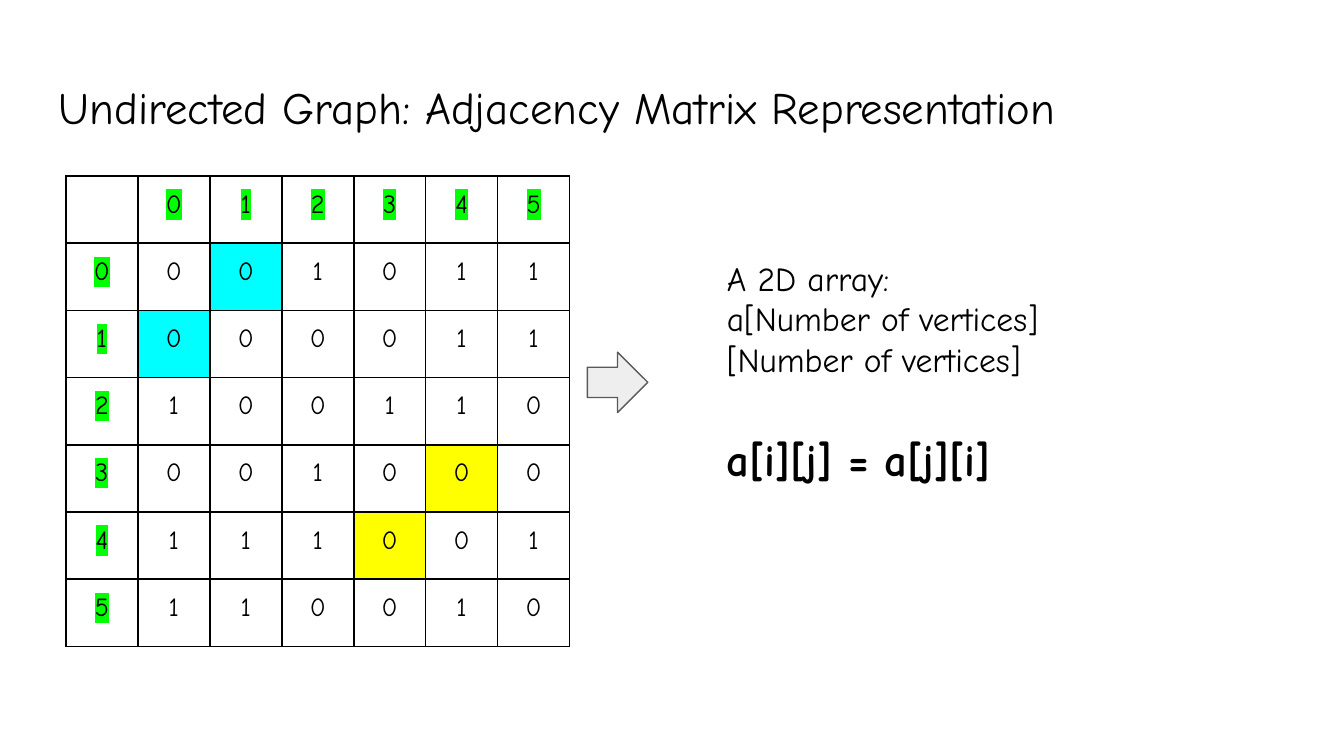
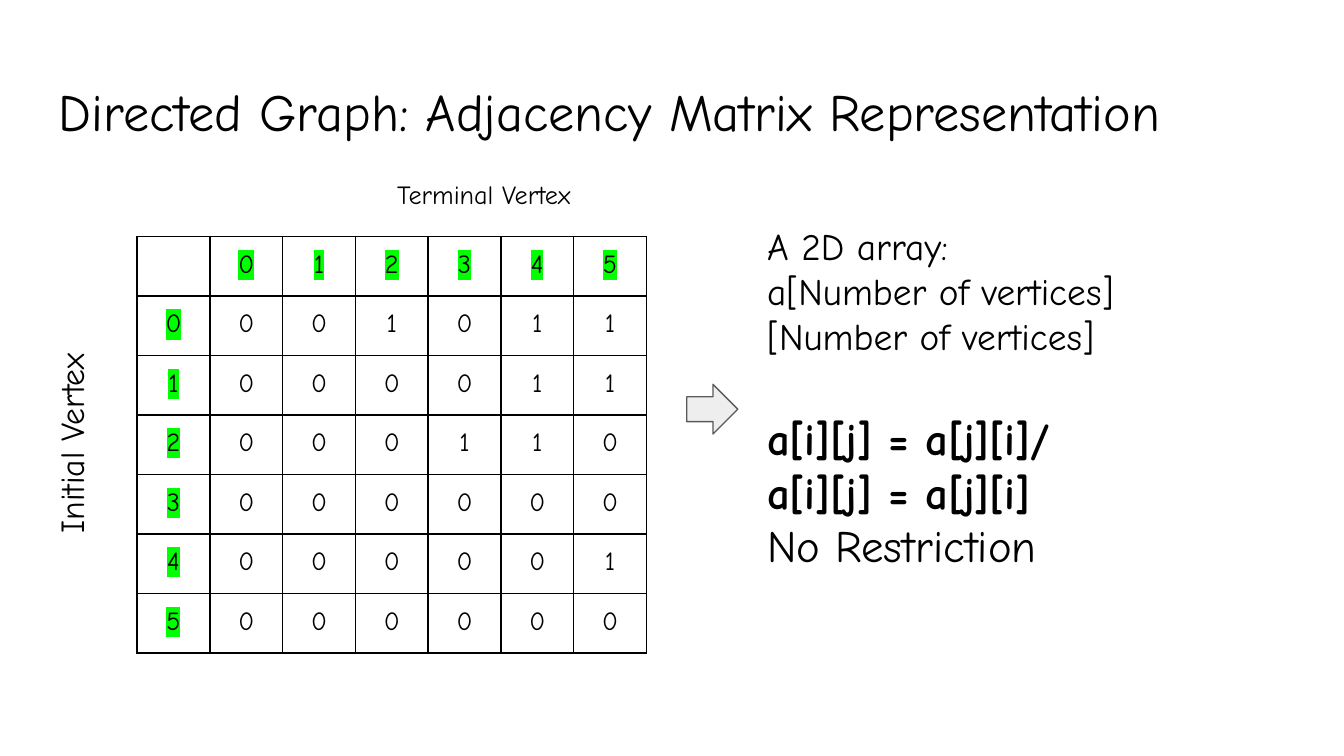
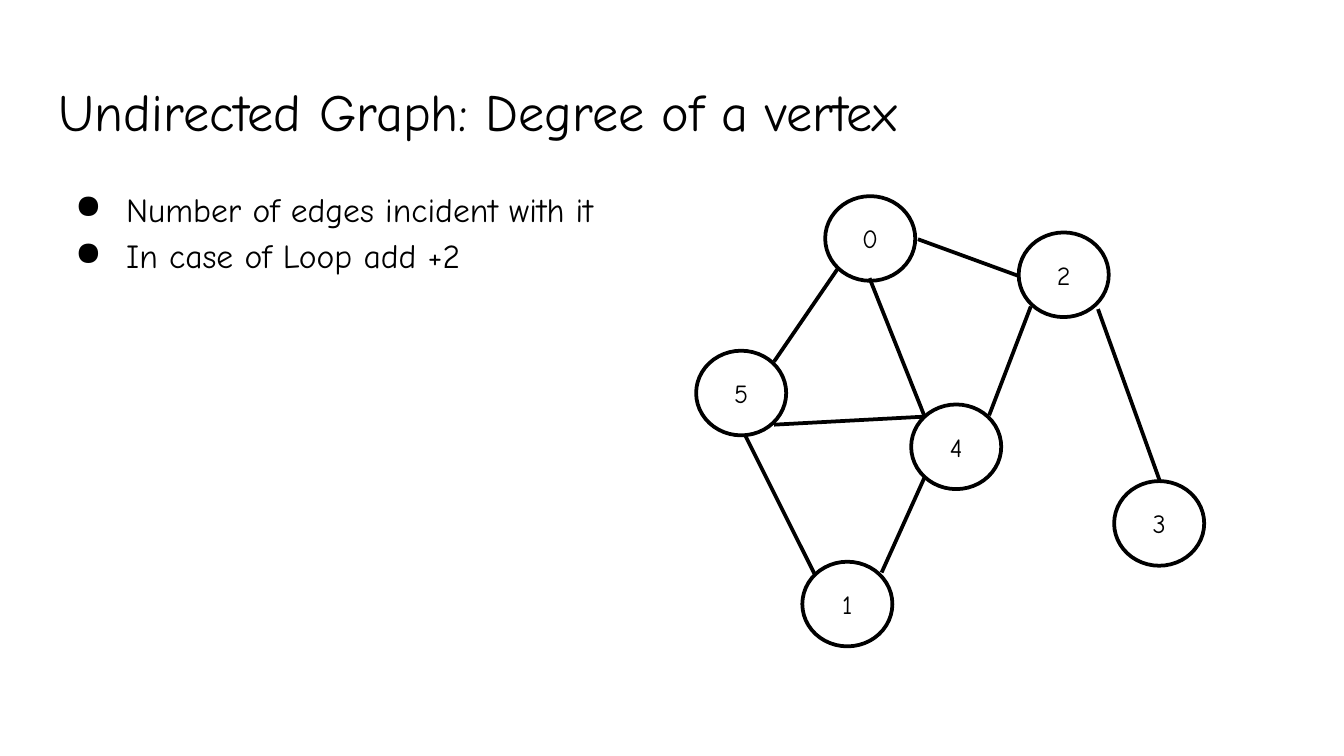
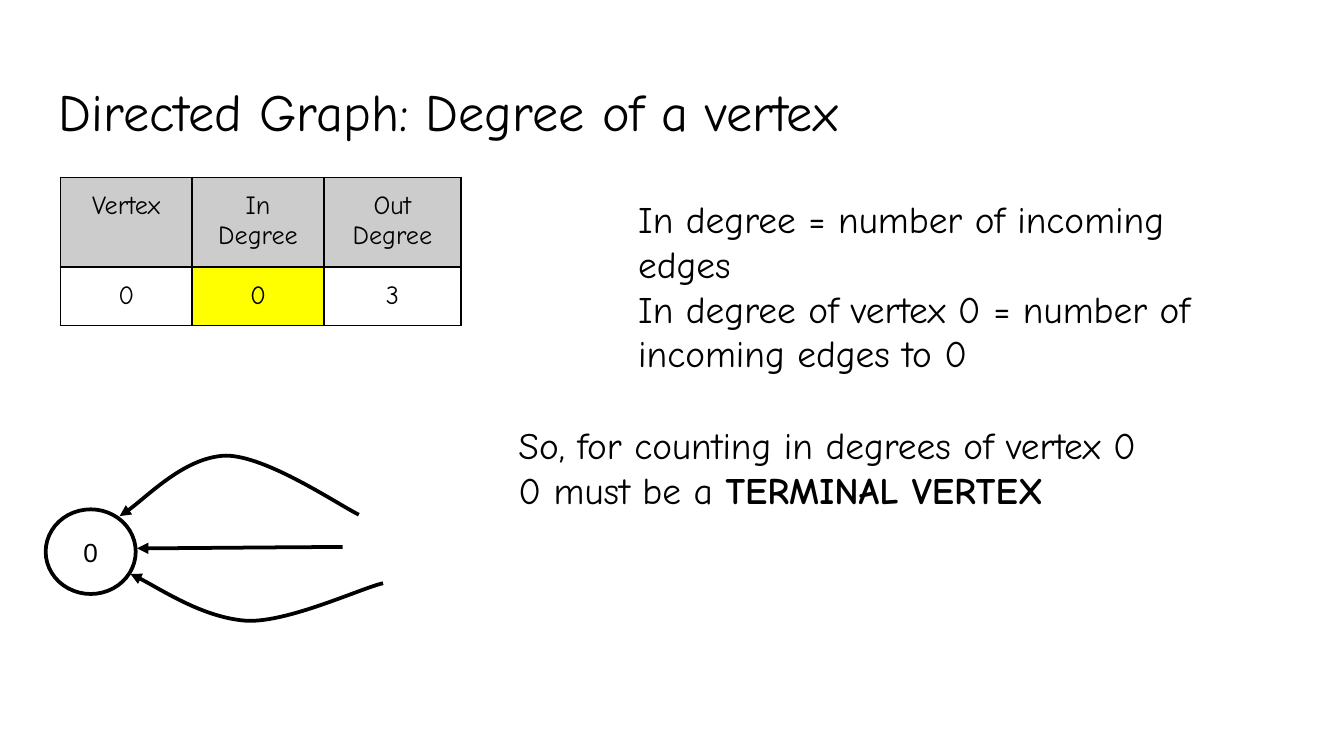
from lxml.etree import SubElement as Sub
from pptx import Presentation
from pptx.dml.color import RGBColor as Rgb
from pptx.enum.shapes import MSO_CONNECTOR as Link, MSO_SHAPE as Kind
from pptx.enum.text import MSO_ANCHOR as Anchor, PP_ALIGN as Align
from pptx.oxml import parse_xml
from pptx.oxml.ns import nsdecls, qn
from pptx.util import Inches, Pt

HUE = {"ink": "000000", "paper": "FFFFFF", "mark": "00FF00", "cyan": "00FFFF",
       "yellow": "FFFF00", "head": "CCCCCC", "pale": "EEEEEE", "slate": "595959"}


class Deck:
    font = "Comic Neue"
    columns = 100
    pad = 1
    disc = (6.7, 6.3)
    small = 14
    stroke = 2

    def __init__(self):
        self.show = Presentation()
        self.show.slide_width = Inches(10)
        self.show.slide_height = Inches(10) * 9 // 16
        self.unit = self.show.slide_width // self.columns

    def grid(self, *spots):
        return [round(spot * self.unit) for spot in spots]

    def page(self, title, size=28, width=93.2):
        self.slide = self.show.slides.add_slide(self.show.slide_layouts[6])
        self.shapes = self.slide.shapes
        self.text((3.4, 4.9, width, 6.3), [title], size)

    def style(self, par, size, bold=None, font=None, mark=None):
        for run in par.runs:
            face = run.font
            face.size, face.bold = Pt(size), bold
            face.color.rgb = Rgb.from_string(HUE["ink"])
            if mark:
                light = Sub(run._r.get_or_add_rPr(), qn("a:highlight"))
                Sub(light, qn("a:srgbClr"), val=HUE[mark])
            face.name = font or self.font

    def inset(self, item):
        item.margin_left = item.margin_right = item.margin_top = item.margin_bottom = self.grid(self.pad)[0]

    def text(self, box, lines, size, align=Align.LEFT, turn=0):
        shape = self.shapes.add_textbox(*self.grid(*box))
        shape.rotation = turn
        frame = shape.text_frame
        frame.word_wrap = True
        self.inset(frame)
        frame.text = "\n".join(lines)
        for par in frame.paragraphs:
            par.alignment = align
            self.style(par, size)
        return frame.paragraphs

    def bullets(self, box, lines, size):
        for par in self.text(box, lines, size):
            par.line_spacing = 1.15
            props = par._p.get_or_add_pPr()
            props.set("marL", str(Inches(0.5)))
            props.set("indent", str(-Inches(0.38)))
            Sub(Sub(props, qn("a:buClr")), qn("a:srgbClr"), val=HUE["ink"])
            Sub(props, qn("a:buChar"), char="●")

    def paint(self, shape, fill, line, width):
        shape.shadow.inherit = False
        shape.fill.solid()
        shape.fill.fore_color.rgb = Rgb.from_string(HUE[fill])
        self.draw(shape, line, width)

    def draw(self, shape, line, width):
        shape.line.color.rgb = Rgb.from_string(HUE[line])
        shape.line.width = Pt(width)

    def arrow(self, *box):
        shape = self.shapes.add_shape(Kind.RIGHT_ARROW, *self.grid(*box))
        self.paint(shape, "pale", "slate", 0.75)

    def node(self, name, left, top, font=None):
        shape = self.shapes.add_shape(Kind.FLOWCHART_CONNECTOR, *self.grid(left, top, *self.disc))
        self.paint(shape, "paper", "ink", self.stroke)
        frame = shape.text_frame
        self.inset(frame)
        frame.vertical_anchor = Anchor.MIDDLE
        frame.text = name
        par = frame.paragraphs[0]
        par.alignment = Align.CENTER
        self.style(par, self.small, font=font)

    def edge(self, *ends):
        line = self.shapes.add_connector(Link.STRAIGHT, *self.grid(*ends))
        self.draw(line, "ink", self.stroke)
        Sub(line._element.spPr, qn("a:effectLst"))

    def curve(self, start, *points):
        pen = self.shapes.build_freeform(*self.grid(*start), scale=1.0)
        pen.add_line_segments([self.grid(*point) for point in points], close=False)
        shape = pen.convert_to_shape()
        self.paint(shape, "paper", "ink", self.stroke)
        Sub(shape.line._get_or_add_ln(), qn("a:headEnd"), type="triangle")
        trail = shape._element.find(".//" + qn("a:path"))
        steps = trail.findall(qn("a:lnTo"))
        for at in range(0, len(steps), 3):
            bend = Sub(trail, qn("a:cubicBezTo"))
            for step in steps[at:at + 3]:
                bend.append(step[0])
                trail.remove(step)

    def border(self, cell):
        props = cell._tc.get_or_add_tcPr()
        for at, side in enumerate("LRTB"):
            props.insert(at, parse_xml(
                f'<a:ln{side} {nsdecls("a")} w="{Pt(1)}"><a:solidFill>'
                f'<a:srgbClr val="{HUE["ink"]}"/></a:solidFill></a:ln{side}>'))

    def table(self, left, top, widths, heights, rows, fills, marked=False):
        box = self.grid(left, top, sum(widths), sum(heights))
        table = self.shapes.add_table(len(rows), len(widths), *box).table
        table.first_row = table.horz_banding = False
        for column, width in zip(table.columns, self.grid(*widths)):
            column.width = width
        for row, height in zip(table.rows, self.grid(*heights)):
            row.height = height
        for down, row in enumerate(rows):
            for across, word in enumerate(row):
                cell = table.cell(down, across)
                self.inset(cell)
                par = cell.text_frame.paragraphs[0]
                par.alignment = Align.CENTER
                par.text = word
                self.style(par, self.small, mark="mark" if marked and 0 in (down, across) else None)
                if not word:
                    Sub(par._p, qn("a:endParaRPr"), sz=str(self.small * 100))
                hue = fills.get((down, across))
                if hue:
                    cell.fill.solid()
                    cell.fill.fore_color.rgb = Rgb.from_string(HUE[hue])
                else:
                    cell.fill.background()
                self.border(cell)

    def matrix(self, left, top, width, height, bits, fills):
        count = len(bits) + 1
        names = [str(name) for name in range(len(bits))]
        rows = [["", *names]] + [[name, *row] for name, row in zip(names, bits)]
        self.table(left, top, [width / count] * count, [height / count] * count, rows, fills, True)

    def rule(self, box, size, rules):
        lines = ["A 2D array:", "a[Number of vertices]", "[Number of vertices]"]
        pars = self.text(box, lines + rules, size)[len(lines):]
        pars[0].space_before = Pt(28.5)
        for par in pars:
            self.style(par, 24, bold="[" in par.text)


def mutual(deck):
    deck.page("Undirected Graph: Adjacency Matrix Representation", 24)
    deck.arrow(43.7, 26.2, 4.5, 4.5)
    deck.rule((53.1, 18.2, 33.9, 20.6), 18, ["a[i][j] = a[j][i]"])
    bits = ["001011", "000011", "100110", "001000", "111001", "110010"]
    fills = {(1, 2): "cyan", (2, 1): "cyan", (4, 5): "yellow", (5, 4): "yellow"}
    deck.matrix(4.9, 13.1, 37.5, 35, bits, fills)


def directed(deck):
    deck.page("Directed Graph: Adjacency Matrix Representation", width=95)
    bits = ["001011", "000011", "000110", "000000", "000001", "000000"]
    deck.matrix(10.2, 17.6, 37.9, 31, bits, {})
    deck.text((-10.3, 30.8, 30.5, 4.4), ["Initial Vertex"], 18, Align.CENTER, 270)
    deck.text((9.8, 12.3, 52.4, 3.5), ["Terminal Vertex"], 14, Align.CENTER)
    deck.arrow(51.1, 28.6, 3.8, 3.7)
    deck.rule((56.1, 15.6, 37.9, 35), 20,
              ["a[i][j] = a[j][i]/", "a[i][j] = a[j][i]", "No Restriction"])


def degree(deck):
    deck.page("Undirected Graph: Degree of a vertex")
    deck.bullets((3.4, 12.6, 46.2, 7.9),
                 ["Number of edges incident with it", "In case of Loop add +2"], 18)
    edges = [(57.6, 26.9, 62.4, 19.9), (68.3, 17.8, 75.7, 20.5),
             (64.7, 20.7, 68.8, 31), (57.6, 31.6, 68.8, 31),
             (55.4, 32.3, 60.6, 42.7), (65.6, 42.6, 68.8, 35.5),
             (73.6, 30.9, 76.7, 22.8), (81.7, 23, 86.3, 35.8)]
    nodes = [("0", 61.4, 14.6), ("3", 82.9, 35.8), ("1", 59.7, 41.8),
             ("5", 51.8, 26.1), ("2", 75.8, 17.3), ("4", 67.8, 30.1)]
    for node in nodes[:4]:
        deck.node(*node)
    for edge in edges:
        deck.edge(*edge)
    for node in nodes[4:]:
        deck.node(*node)


def inward(deck):
    deck.page("Directed Graph: Degree of a vertex")
    fills = {(0, across): "head" for across in range(3)}
    deck.table(4.5, 13.2, [9.8, 9.8, 10.2], [6, 3.9],
               [["Vertex", "In Degree", "Out Degree"], ["0", "0", "3"]],
               {**fills, (1, 1): "yellow"})
    deck.text((46.5, 13.6, 44.6, 13.7),
              ["In degree = number of incoming edges",
               "In degree of vertex 0 = number of incoming edges to 0"], 20)
    deck.node("0", 3.4, 37.9, "Arial")
    deck.curve((8.9, 38.4), (10.2, 37.7), (13.8, 34), (16.8, 33.9),
               (19.8, 33.9), (25.1, 37.5), (26.7, 38.3))
    deck.curve((10.2, 40.8), (12.7, 40.8), (22.9, 40.7), (25.5, 40.7))
    deck.curve((9.7, 42.7), (11.1, 43.3), (15.2, 46), (18.4, 46.2),
               (21.5, 46.3), (26.8, 43.8), (28.5, 43.4))
    last = deck.text((37.6, 30.4, 54.6, 9.7),
                     ["So, for counting in degrees of vertex 0", "0 must be a "], 20)[-1]
    last.add_run().text = "TERMINAL VERTEX"
    deck.style(last, 20)
    last.runs[-1].font.bold = True


def main():
    deck = Deck()
    for build in (mutual, directed, degree, inward):
        build(deck)
    deck.show.save("out.pptx")


if __name__ == "__main__":
    main()
